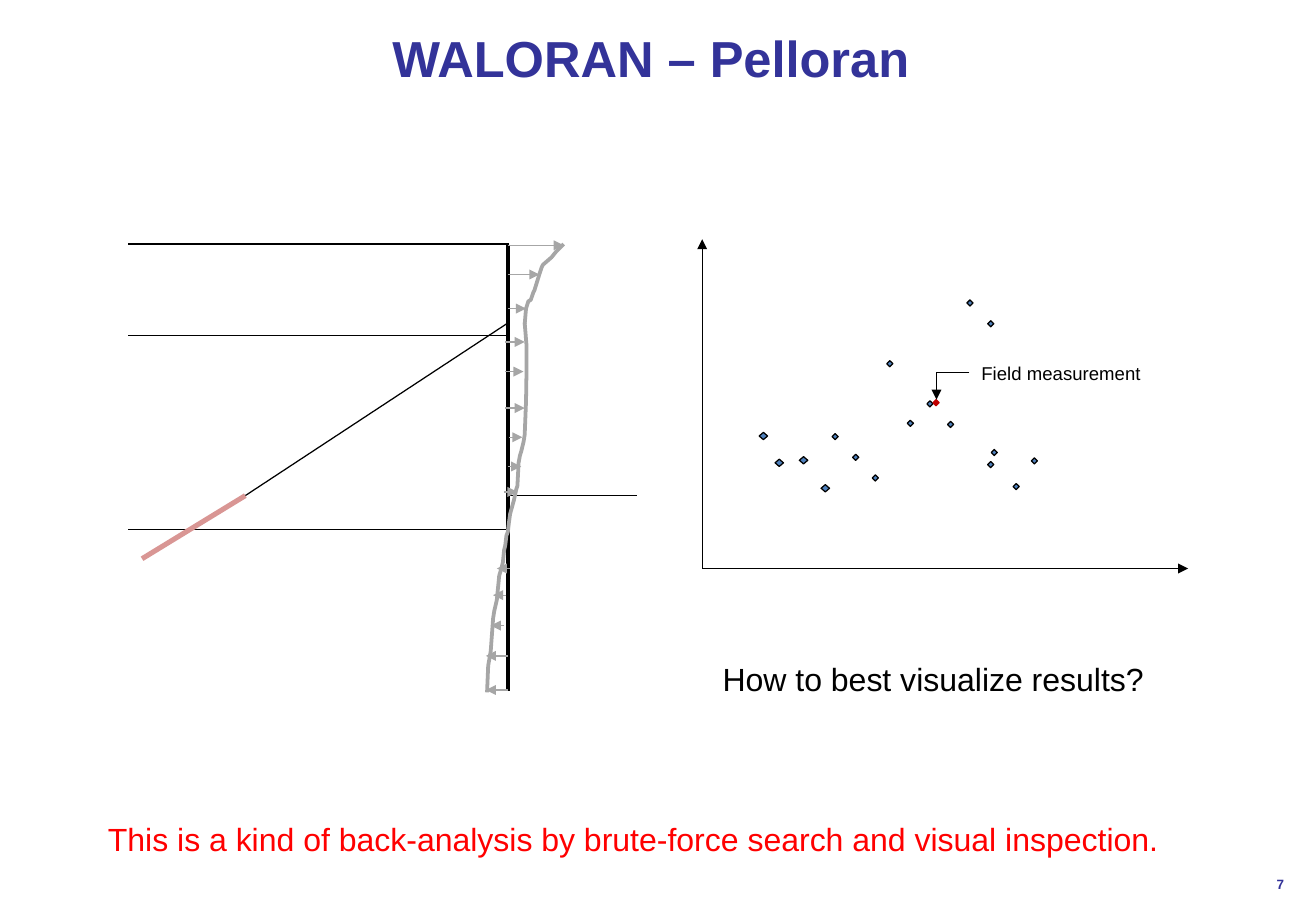
from dataclasses import dataclass

from lxml.etree import SubElement
from pptx import Presentation
from pptx.dml.color import RGBColor as RGB
from pptx.enum.shapes import MSO_CONNECTOR as LINK, MSO_SHAPE as SHAPE
from pptx.enum.text import MSO_AUTO_SIZE as FIT, PP_ALIGN as ALIGN
from pptx.oxml.ns import qn
from pptx.util import Pt


@dataclass(frozen=True)
class Theme:
    font: str = "Arial"
    navy: RGB = RGB(0x33, 0x33, 0x99)
    black: RGB = RGB(0, 0, 0)
    red: RGB = RGB(0xFF, 0, 0)
    rose: RGB = RGB(0xD9, 0x96, 0x94)
    gray: RGB = RGB(0xA6, 0xA6, 0xA6)
    blue: RGB = RGB(0x4F, 0x81, 0xBD)
    dark_red: RGB = RGB(0xC0, 0, 0)
    title: float = 30
    body: float = 19
    label: float = 11
    number: float = 8
    thin: float = 0.75
    thick: float = 2.25
    anchor: float = 3


THEME = Theme()
WALL = 301
GROUND = 75.6

LAYERS = [144.7, 198.7, 313.9]
PUSHES = [
    (WALL, 334.1, 145.4), (WALL, 319.7, 162.7), (WALL, 311.8, 182.9),
    (299.5, 311, 202.7), (299.5, 310.3, 220.3), (299.5, 311, 241.9),
    (301.7, 309.6, 259.2), (WALL, 308.9, 276.5), (298.8, 306.7, 291.6),
    (302.4, 294.5, 337), (300.2, 292.3, 352.8), (298.8, 290.9, 370.8),
    (WALL, 288, 388.8), (WALL, 288, 409),
]
LOWER = [
    (311, 191.5), (312.1, 205), (312.1, 218.4), (311.8, 238), (311, 257.8),
    (310.3, 262.1), (308.9, 267.8), (308.2, 270), (307.4, 274.3),
    (306.7, 288), (306, 290.2), (304.6, 296.6), (302.4, 304.6),
    (301.7, 309.6), (301, 315.4), (300.2, 317.5), (299.5, 323.3),
    (298.8, 326.2), (298.1, 333.4), (297.4, 336.2), (295.9, 341.3),
    (294.5, 355.7), (293, 362.2), (292.3, 366.5), (290.9, 385.9),
    (289.4, 394.6), (288.7, 410.4),
]
UPPER = [
    (311, 192.2), (311.8, 182.9), (313.2, 178.6), (314.6, 177.8),
    (316.1, 173.5), (316.8, 172.1), (319.7, 162.7), (321.1, 158.4),
    (321.8, 157), (326.9, 152.6), (329.8, 149), (332.6, 146.2),
    (334.1, 144.7),
]
LARGE = [(450, 256.3), (459.4, 272.2), (473.8, 270.7), (486.7, 287.3)]
SMALL = [
    (493.2, 257), (505.4, 269.3), (517, 281.5), (525.6, 213.8),
    (537.8, 249.1), (549.4, 237.6), (561.6, 249.8), (573.1, 177.8),
    (585.4, 273.6), (587.5, 266.4), (600.5, 286.6), (611.3, 271.4),
    (585.4, 190.1),
]


def add_text(shapes, text, box, size, color, align=ALIGN.LEFT,
             bold=False, wrap=False):
    shape = shapes.add_textbox(*map(Pt, box))
    frame = shape.text_frame
    frame.word_wrap = wrap
    frame.auto_size = FIT.NONE if wrap else FIT.SHAPE_TO_FIT_TEXT
    para = frame.paragraphs[0]
    para.text = text
    para.alignment = align
    font = para.font
    font.name = THEME.font
    font.size = Pt(size)
    font.bold = bold
    font.color.rgb = color


def add_line(shapes, start, end, color=THEME.black, width=THEME.thin,
             arrow=False, kind=LINK.STRAIGHT):
    line = shapes.add_connector(kind, *map(Pt, (*start, *end)))
    line.line.color.rgb = color
    line.line.width = Pt(width)
    props = line._element.spPr
    if arrow:
        SubElement(props.find(qn("a:ln")), qn("a:tailEnd"), type="triangle")
    SubElement(props, qn("a:effectLst"))
    return line


def add_curve(shapes, points):
    start, *rest = [(Pt(x), Pt(y)) for x, y in points]
    path = shapes.build_freeform(*start)
    path.add_line_segments(rest, close=False)
    curve = path.convert_to_shape()
    curve.shadow.inherit = False
    curve.fill.background()
    curve.line.color.rgb = THEME.gray
    curve.line.width = Pt(THEME.thick)


def add_mark(shapes, spot, size, fill=THEME.blue, edge=THEME.black):
    mark = shapes.add_shape(SHAPE.DIAMOND, *map(Pt, (*spot, *size)))
    mark.shadow.inherit = False
    mark.fill.solid()
    mark.fill.fore_color.rgb = fill
    mark.line.color.rgb = edge
    mark.line.width = Pt(THEME.thin)


def draw_wall(shapes):
    bend = (145.4, 293.8)
    add_line(shapes, (WALL, 145.4), (WALL, 409.7), width=THEME.thick)
    for y in LAYERS:
        add_line(shapes, (301.7, y), (GROUND, y))
    add_line(shapes, (WALL, 293.8), (377.3, 293.8))
    add_line(shapes, (WALL, 191.5), bend)
    add_line(shapes, bend, (84.2, 331.2), THEME.rose, THEME.anchor)
    for points in (LOWER, UPPER):
        add_curve(shapes, points)
    for left, right, y in PUSHES:
        add_line(shapes, (left, y), (right, y), THEME.gray, arrow=True)


def draw_plot(shapes):
    origin = (416.2, 337)
    for tip in ((416.2, 141.8), (704.2, 337)):
        add_line(shapes, origin, tip, arrow=True)
    for spot in LARGE:
        add_mark(shapes, spot, (5, 4.3))
    for spot in SMALL:
        add_mark(shapes, spot, (3.6, 3.6))
    add_mark(shapes, (553, 236.9), (3.6, 3.6), THEME.dark_red, THEME.dark_red)
    add_text(shapes, "Field measurement", (574.6, 211, 109.4, 20.9),
             THEME.label, THEME.black)
    link = add_line(shapes, (574.6, 221), (555.1, 236.9), arrow=True,
                    kind=LINK.ELBOW)
    link._element.spPr.find(qn("a:prstGeom")).set("prst", "bentConnector2")


def main():
    deck = Presentation()
    deck.slide_width = Pt(780)
    deck.slide_height = Pt(540)
    shapes = deck.slides.add_slide(deck.slide_layouts[6]).shapes
    add_text(shapes, "WALORAN – Pelloran", (34.9, 12.2, 702, 68.4),
             THEME.title, THEME.navy, ALIGN.CENTER, bold=True, wrap=True)
    add_text(shapes, "7", (702, 515.5, 66.2, 15.8),
             THEME.number, THEME.navy, ALIGN.RIGHT, bold=True, wrap=True)
    draw_wall(shapes.add_group_shape().shapes)
    draw_plot(shapes)
    add_text(shapes, "How to best visualize results?",
             (421.2, 387.4, 267.8, 30.2), THEME.body, THEME.black)
    add_text(shapes, "This is a kind of back-analysis by brute-force search "
             "and visual inspection.", (56.9, 482.4, 641.5, 30.2),
             THEME.body, THEME.red)
    deck.save("out.pptx")


if __name__ == "__main__":
    main()
